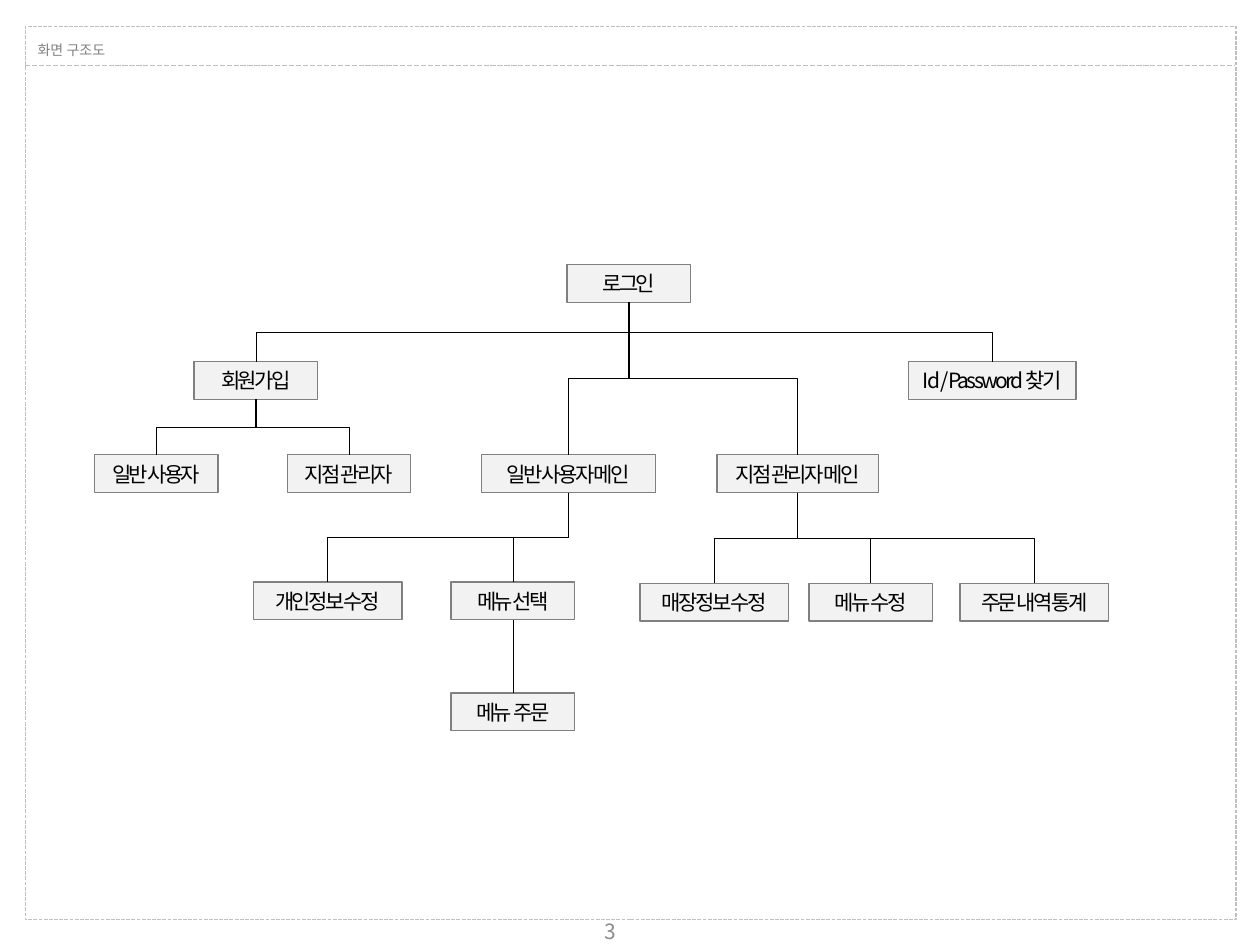
from lxml import etree
from pptx import Presentation
from pptx.dml.color import RGBColor
from pptx.enum.dml import MSO_LINE
from pptx.enum.shapes import MSO_CONNECTOR, MSO_SHAPE
from pptx.enum.text import MSO_ANCHOR, MSO_AUTO_SIZE, PP_ALIGN
from pptx.oxml.ns import qn
from pptx.util import Inches, Pt

RECTANGLE = MSO_SHAPE.RECTANGLE
STRAIGHT, ELBOW = MSO_CONNECTOR.STRAIGHT, MSO_CONNECTOR.ELBOW
DASH = MSO_LINE.SQUARE_DOT
CENTER, MIDDLE = PP_ALIGN.CENTER, MSO_ANCHOR.MIDDLE
FIT_TEXT = MSO_AUTO_SIZE.SHAPE_TO_FIT_TEXT
TOP, BOTTOM = 0, 2
BOX_HEIGHT = 0.3

# screen name: left, top, width
SCREENS = {
    "로그인": (4.5, 2.1, 0.98),
    "회원가입": (1.54, 2.87, 0.98),
    "I d / Password 찾기": (7.21, 2.87, 1.33),
    "일반 사용자": (0.75, 3.61, 0.98),
    "지점 관리자": (2.28, 3.61, 0.98),
    "일반 사용자 메인": (3.82, 3.61, 1.38),
    "지점 관리자 메인": (5.69, 3.61, 1.28),
    "개인정보 수정": (2.01, 4.62, 1.18),
    "메뉴 선택": (3.58, 4.62, 0.98),
    "매장정보 수정": (5.08, 4.63, 1.18),
    "메뉴 수정": (6.42, 4.63, 0.98),
    "주문 내역 통계": (7.62, 4.63, 1.18),
    "메뉴  주문": (3.58, 5.5, 0.98),
}

CHILDREN = {
    "로그인": ["회원가입", "I d / Password 찾기", "일반 사용자 메인", "지점 관리자 메인"],
    "회원가입": ["일반 사용자", "지점 관리자"],
    "일반 사용자 메인": ["개인정보 수정", "메뉴 선택"],
    "지점 관리자 메인": ["매장정보 수정", "메뉴 수정", "주문 내역 통계"],
    "메뉴 선택": ["메뉴  주문"],
}


def rgb(color):
    return RGBColor.from_string(color)


class ScreenMap:
    """Draws on one slide in a shared style."""

    font = "Noto Sans CJK KR"

    def __init__(self, slide):
        self.shapes = slide.shapes

    def set_text(self, frame, text, size, color, spacing=None):
        frame.text = text
        paragraph = frame.paragraphs[0]
        for run in paragraph.runs:
            run.font.name = self.font
            run.font.size = Pt(size)
            run.font.color.rgb = rgb(color)
            properties = run.font._element
            east_asian = etree.SubElement(properties, qn("a:ea"))
            east_asian.set("typeface", self.font)
            if spacing is not None:
                properties.set("spc", str(round(spacing * 100)))
        return paragraph

    def rectangle(self, left, top, width, height, line, fill=None):
        shape = self.shapes.add_shape(
            RECTANGLE, Inches(left), Inches(top), Inches(width), Inches(height))
        shape.shadow.inherit = False
        if fill:
            shape.fill.solid()
            shape.fill.fore_color.rgb = rgb(fill)
        else:
            shape.fill.background()
        shape.line.color.rgb = rgb(line)
        shape.line.width = Pt(0.75)
        return shape

    def screen(self, name, left, top, width):
        box = self.rectangle(left, top, width, BOX_HEIGHT, "808080", "F2F2F2")
        box.text_frame.vertical_anchor = MIDDLE
        box.text_frame.word_wrap = True
        self.set_text(box.text_frame, name, 12, "000000", -1.5).alignment = CENTER
        return box

    def label(self, text, left, top, width, height, size, color, wrap=True):
        frame = self.shapes.add_textbox(
            Inches(left), Inches(top), Inches(width), Inches(height)).text_frame
        frame.word_wrap = wrap
        return frame, self.set_text(frame, text, size, color)

    def line(self, kind, start, end, color, width):
        connector = self.shapes.add_connector(kind, *start, *end)
        connector.line.color.rgb = rgb(color)
        connector.line.width = Pt(width)
        etree.SubElement(connector._element.spPr, qn("a:effectLst"))
        return connector

    def branch(self, parent, child):
        """Join the bottom of parent to the top of child, bending halfway down."""
        start_x = parent.left + parent.width // 2
        start_y = parent.top + parent.height
        end_x = child.left + child.width // 2
        shift, drop = end_x - start_x, child.top - start_y
        connector = self.line(ELBOW if shift else STRAIGHT,
                              (start_x, start_y), (end_x, child.top), "000000", 0.25)
        connector.begin_connect(parent, BOTTOM)
        connector.end_connect(child, TOP)
        if not shift:
            return
        # An elbow leaves sideways by default; a quarter turn makes it leave downwards.
        connector.width, connector.height = drop, abs(shift)
        connector.left = (start_x + end_x - drop) // 2
        connector.top = (start_y + child.top - abs(shift)) // 2
        frame = connector._element.spPr.find(qn("a:xfrm"))
        frame.set("rot", str((270 if shift > 0 else 90) * 60000))
        frame.set("flipH", "1" if shift > 0 else "0")
        frame.set("flipV", "0")


def main():
    presentation = Presentation()
    presentation.slide_width, presentation.slide_height = Inches(10), Inches(7.5)
    blank = presentation.slide_layouts[6]
    screen_map = ScreenMap(presentation.slides.add_slide(blank))

    border = screen_map.rectangle(0.2, 0.21, 9.61, 7.09, "C0C0C0")
    border.line.dash_style = DASH
    header, title = screen_map.label(
        "화면 구조도", 0.2, 0.21, 0.76, 0.28, 8, "808080", wrap=False)
    header.auto_size = FIT_TEXT
    title.line_spacing = 1.5
    divider = screen_map.line(STRAIGHT, (Inches(0.2), Inches(0.52)),
                              (Inches(9.8), Inches(0.52)), "BFBFBF", 1)
    divider.line.dash_style = DASH
    footer, page_number = screen_map.label("3", 3.68, 7.19, 2.33, 0.4, 12, "8C8C8C")
    footer.vertical_anchor = MIDDLE
    page_number.alignment = CENTER

    boxes = {name: screen_map.screen(name, *place) for name, place in SCREENS.items()}
    for parent, children in CHILDREN.items():
        for child in children:
            screen_map.branch(boxes[parent], boxes[child])

    presentation.save("out.pptx")


if __name__ == "__main__":
    main()
